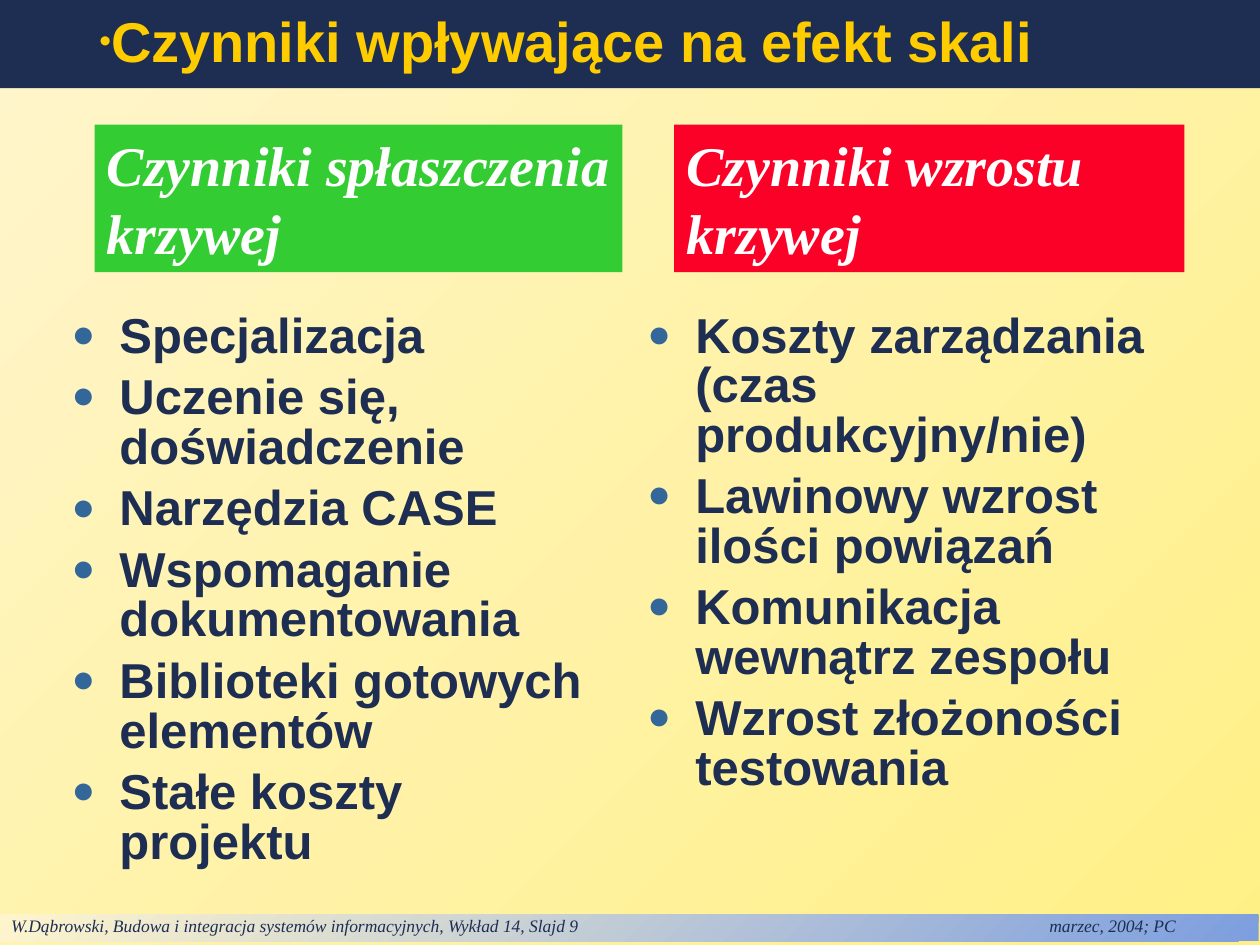
from dataclasses import dataclass

from lxml import etree
from pptx import Presentation
from pptx.dml.color import RGBColor
from pptx.enum.shapes import MSO_SHAPE
from pptx.enum.text import MSO_ANCHOR, PP_ALIGN
from pptx.oxml.ns import qn
from pptx.util import Inches, Pt

RECTANGLE = MSO_SHAPE.RECTANGLE
TOP, MIDDLE = MSO_ANCHOR.TOP, MSO_ANCHOR.MIDDLE
LEFT = PP_ALIGN.LEFT
BLANK_LAYOUT = 6
WIDTH, HEIGHT = 10, 7.5


@dataclass(frozen=True)
class Theme:
    navy: str = "1E2E53"
    gold: str = "FFCC00"
    bullet: str = "336699"
    white: str = "FFFFFF"
    green: str = "33CC33"
    red: str = "FC0128"
    cream: str = "FFF5CD"
    yellow: str = "FFF085"
    blue: str = "7D9EDF"
    sans: str = "Arial"
    serif: str = "Times New Roman"
    heading_size: int = 32
    list_size: int = 28
    footer_size: int = 10


THEME = Theme()

# Each column: heading left and width, fill, wrap, heading lines, list left and width, items
COLUMNS = [
    (0.75, 4.19, THEME.green, False, ["Czynniki spłaszczenia", "krzywej"], 0.47, 4.43,
     ["Specjalizacja", "Uczenie się, doświadczenie", "Narzędzia CASE",
      "Wspomaganie dokumentowania", "Biblioteki gotowych elementów",
      "Stałe koszty projektu"]),
    (5.35, 4.05, THEME.red, True, ["Czynniki wzrostu", "krzywej"], 5.04, 4.54,
     ["Koszty zarządzania (czas produkcyjny/nie)", "Lawinowy wzrost ilości powiązań",
      "Komunikacja wewnątrz zespołu", "Wzrost złożoności testowania"]),
]
HEADING_TOP, HEADING_HEIGHT = 0.99, 1.17
LIST_TOP, LIST_HEIGHT = 2.44, 4.35


def color(value):
    return RGBColor.from_string(value)


def fill_gradient(fill, first, last):
    """Blend from the bottom right corner to the top left one."""
    fill.gradient()
    fill.gradient_angle = 135
    for stop, value in zip(fill.gradient_stops, (first, last)):
        stop.color.rgb = color(value)


def add_run(paragraph, text, size, font_name, font_color, bold=False, italic=False):
    run = paragraph.add_run()
    run.text = text
    font = run.font
    font.size, font.name = Pt(size), font_name
    font.bold, font.italic = bold, italic
    font.color.rgb = color(font_color)


def add_bullet(paragraph, character, bullet_color, percent, margin, indent):
    properties = paragraph._p.get_or_add_pPr()
    properties.set("marL", str(Inches(margin)))
    properties.set("indent", str(Inches(indent)))
    bullet_fill = etree.SubElement(properties, qn("a:buClr"))
    etree.SubElement(bullet_fill, qn("a:srgbClr"), val=bullet_color)
    etree.SubElement(properties, qn("a:buSzPct"), val=str(percent * 1000))
    etree.SubElement(properties, qn("a:buFont"), typeface=THEME.sans)
    etree.SubElement(properties, qn("a:buChar"), char=character)


def add_tab(paragraph, position):
    tabs = etree.SubElement(paragraph._p.get_or_add_pPr(), qn("a:tabLst"))
    etree.SubElement(tabs, qn("a:tab"), pos=str(Inches(position)), algn="l")


def get_paragraphs(text_frame, texts):
    """Pair every text with a left-aligned paragraph of the frame."""
    for index, text in enumerate(texts):
        paragraph = text_frame.add_paragraph() if index else text_frame.paragraphs[0]
        paragraph.alignment = LEFT
        yield paragraph, text


def add_panel(slide, left, top, width, height, fill_color=None, anchor=TOP):
    """Add a borderless rectangle that holds left-aligned text."""
    panel = slide.shapes.add_shape(
        RECTANGLE, Inches(left), Inches(top), Inches(width), Inches(height))
    panel.shadow.inherit = False
    panel.line.fill.background()
    if fill_color:
        panel.fill.solid()
        panel.fill.fore_color.rgb = color(fill_color)
    panel.text_frame.vertical_anchor = anchor
    panel.text_frame.word_wrap = True
    panel.text_frame.paragraphs[0].alignment = LEFT
    return panel


def add_footer(slide, text):
    footer = add_panel(slide, -0.01, 7.26, WIDTH, 0.21)
    fill_gradient(footer.fill, THEME.blue, THEME.cream)
    frame = footer.text_frame
    frame.margin_top, frame.margin_bottom = 0, Inches(0.04)
    paragraph = frame.paragraphs[0]
    add_tab(paragraph, 8.24)
    add_run(paragraph, text, THEME.footer_size, THEME.serif, THEME.navy, italic=True)


def add_title(slide, text):
    title = add_panel(slide, 0, 0, WIDTH, 0.7, THEME.navy, MIDDLE)
    paragraph = title.text_frame.paragraphs[0]
    add_bullet(paragraph, "•", THEME.gold, 60, 0.29, 0.4)
    paragraph.line_spacing = 0.9
    add_run(paragraph, text, THEME.heading_size, THEME.sans, THEME.gold, bold=True)


def add_list(slide, left, width, items):
    box = slide.shapes.add_textbox(
        Inches(left), Inches(LIST_TOP), Inches(width), Inches(LIST_HEIGHT))
    box.text_frame.word_wrap = True
    for paragraph, item in get_paragraphs(box.text_frame, items):
        add_bullet(paragraph, "●", THEME.bullet, 80, 0.38, -0.38)
        paragraph.line_spacing = 0.84
        if item != items[0]:
            paragraph.space_before = Pt(7)
        add_run(paragraph, item, THEME.list_size, THEME.sans, THEME.navy, bold=True)


def add_heading(slide, left, width, fill_color, wrap, lines):
    heading = add_panel(slide, left, HEADING_TOP, width, HEADING_HEIGHT, fill_color)
    heading.text_frame.word_wrap = wrap
    for paragraph, line in get_paragraphs(heading.text_frame, lines):
        add_run(paragraph, line, THEME.heading_size, THEME.serif, THEME.white,
                bold=True, italic=True)


def main():
    presentation = Presentation()
    presentation.slide_width = Inches(WIDTH)
    presentation.slide_height = Inches(HEIGHT)
    slide = presentation.slides.add_slide(presentation.slide_layouts[BLANK_LAYOUT])

    # Background, footer and title bar
    fill_gradient(slide.background.fill, THEME.yellow, THEME.cream)
    add_footer(slide, "W.Dąbrowski, Budowa i integracja systemów informacyjnych, "
                      "Wykład 14, Slajd 9\tmarzec, 2004; PC")
    add_title(slide, "Czynniki wpływające na efekt skali")

    # Two columns of factors
    for left, width, fill_color, wrap, lines, list_left, list_width, items in COLUMNS:
        add_list(slide, list_left, list_width, items)
        add_heading(slide, left, width, fill_color, wrap, lines)

    presentation.save("out.pptx")


if __name__ == "__main__":
    main()
